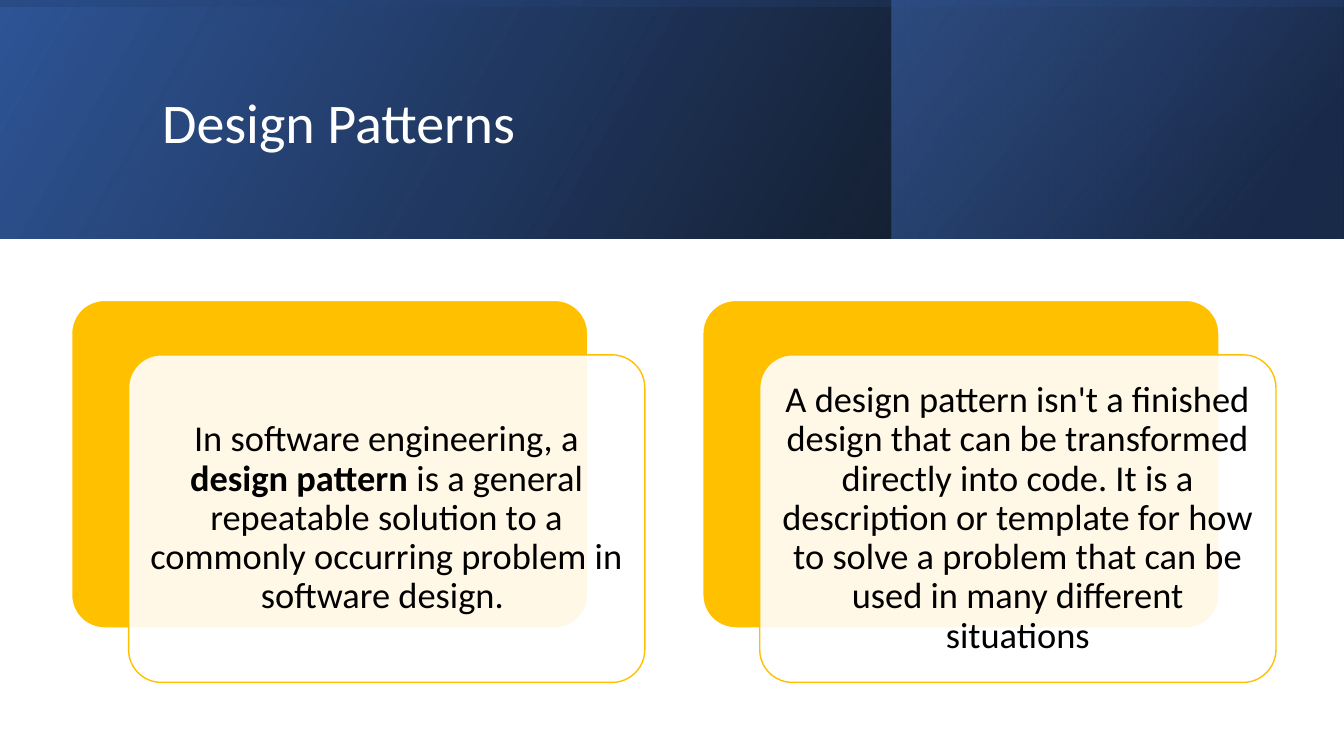
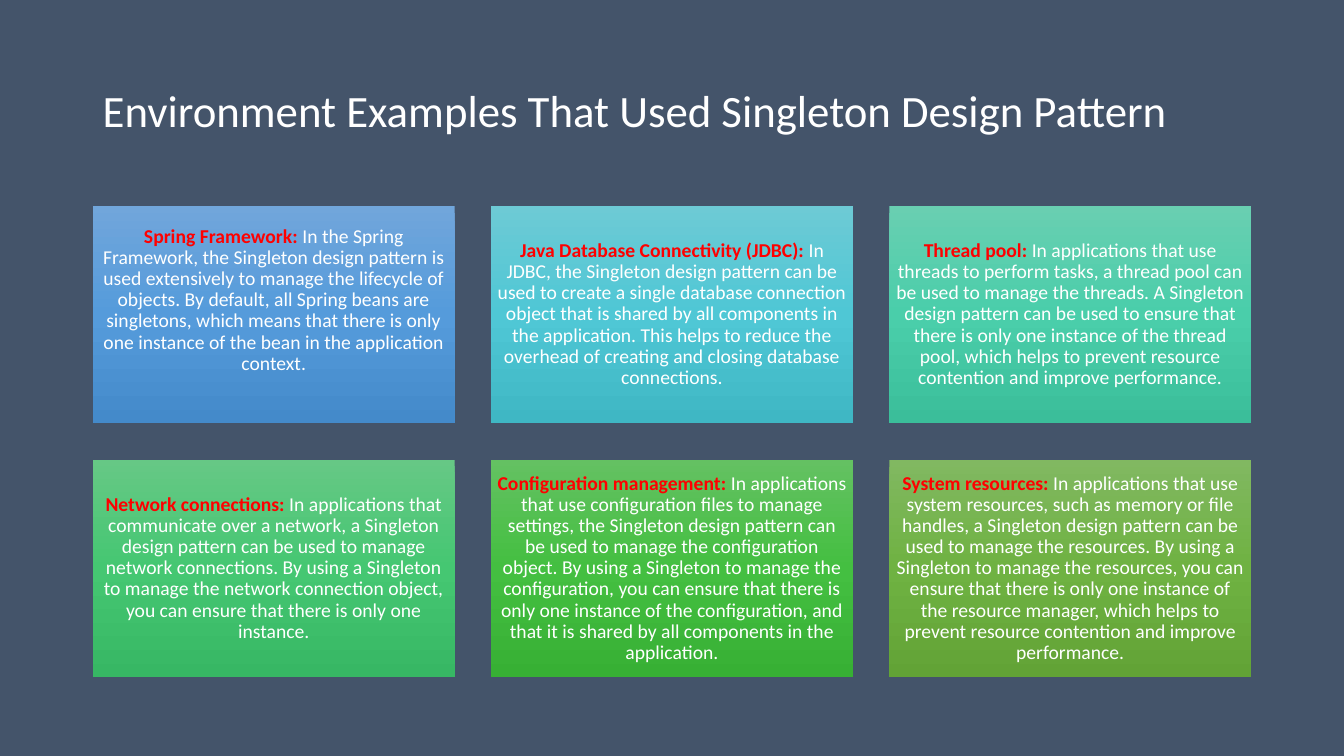
import pptx
import pptx.util
import pptx.dml.color
import pptx.enum.shapes
import pptx.enum.text
import pptx.oxml
import pptx.oxml.ns

Inches, Pt = pptx.util.Inches, pptx.util.Pt
SHAPE = pptx.enum.shapes.MSO_SHAPE
ALIGN = pptx.enum.text.PP_ALIGN
MIDDLE = pptx.enum.text.MSO_ANCHOR.MIDDLE
qn = pptx.oxml.ns.qn

FONT = "Calibri"
WHITE, BLACK, RED = "FFFFFF", "000000", "FF0000"
GOLD, SLATE, NAVY = "FFC000", "44546A", "2F5597"

# Banner layers: box, rotation, gradient stops (position, colour, opacity), angle
BANNER = [
    ((0, 0, 13.33, 2.37), 0, [(0, BLACK, 96), (100, NAVY, 100)], 330),
    ((8.84, 0, 4.48, 2.37), 0, [(19, "203864", 68), (100, "4472C4", 48)], 320),
    ((5.48, -5.48, 2.37, 13.33), 270, [(23, NAVY, 16), (99, BLACK, 45)], 350),
]

# Text runs: (words, bold)
CARDS = [
    [("In software engineering, a ", False), ("design pattern", True),
     (" is a general repeatable solution to a commonly occurring problem in "
      "software design. ", False)],
    [("A design pattern isn't a finished design that can be transformed directly "
      "into code. It is a description or template for how to solve a problem that "
      "can be used in many different situations", False)],
]

# Tiles: heading, body, gradient from top to bottom
TILES = [
    ("Spring Framework:",
     "In the Spring Framework, the Singleton design pattern is used extensively to "
     "manage the lifecycle of objects. By default, all Spring beans are singletons, "
     "which means that there is only one instance of the bean in the application "
     "context.", ("71A6DB", "559BDB", "448ACA")),
    ("Java Database Connectivity (JDBC):",
     "In JDBC, the Singleton design pattern can be used to create a single database "
     "connection object that is shared by all components in the application. This "
     "helps to reduce the overhead of creating and closing database connections.",
     ("6DCAD5", "4FC7D5", "3FB7C4")),
    ("Thread pool:",
     "In applications that use threads to perform tasks, a thread pool can be used "
     "to manage the threads. A Singleton design pattern can be used to ensure that "
     "there is only one instance of the thread pool, which helps to prevent resource "
     "contention and improve performance.", ("69CFB1", "4ACEAA", "3BBE9A")),
    ("Network connections:",
     "In applications that communicate over a network, a Singleton design pattern "
     "can be used to manage network connections. By using a Singleton to manage the "
     "network connection object, you can ensure that there is only one instance.",
     ("66C885", "45C772", "37B764")),
    ("Configuration management:",
     "In applications that use configuration files to manage settings, the Singleton "
     "design pattern can be used to manage the configuration object. By using a "
     "Singleton to manage the configuration, you can ensure that there is only one "
     "instance of the configuration, and that it is shared by all components in the "
     "application.", ("64C162", "44BF41", "37B034")),
    ("System resources:",
     "In applications that use system resources, such as memory or file handles, a "
     "Singleton design pattern can be used to manage the resources. By using a "
     "Singleton to manage the resources, you can ensure that there is only one "
     "instance of the resource manager, which helps to prevent resource contention "
     "and improve performance.", ("81B861", "6FB242", "62A336")),
]


def rgb(code):
    return pptx.dml.color.RGBColor.from_string(code)


def add_slide(deck, back):
    slide = deck.slides.add_slide(deck.slide_layouts[6])
    slide.background.fill.solid()
    slide.background.fill.fore_color.rgb = rgb(back)
    return slide


def add_box(slide, kind, box, fill=None, line=None):
    shape = slide.shapes.add_shape(kind, *map(Inches, box))
    shape.shadow.inherit = False
    if fill:
        shape.fill.solid()
        shape.fill.fore_color.rgb = rgb(fill)
    if line:
        shape.line.color.rgb = rgb(line)
        shape.line.width = Pt(1)
    else:
        shape.line.fill.background()
    return shape


def set_alpha(color, opacity):
    alpha = pptx.oxml.ns.qn("a:alpha")
    color.makeelement(alpha, {})
    node = color.makeelement(alpha, {"val": str(opacity * 1000)})
    color.append(node)


def set_grad(shape, stops, angle):
    """Fill with stops of (position, colour, opacity); angle runs clockwise."""
    shape.fill.gradient()
    shape.fill.gradient_angle = (360 - angle) % 360
    group = shape._element.spPr.find(".//" + qn("a:gsLst"))
    for old in list(group):
        group.remove(old)
    for place, code, opacity in stops:
        stop = group.makeelement(qn("a:gs"), {"pos": str(place * 1000)})
        color = stop.makeelement(qn("a:srgbClr"), {"val": code})
        stop.append(color)
        group.append(stop)
        if opacity < 100:
            set_alpha(color, opacity)


def set_text(shape, runs, size, inset=None, align=ALIGN.CENTER):
    """Write runs of (words, bold, colour) as one paragraph, centred in height."""
    frame = shape.text_frame
    frame.word_wrap = True
    frame.vertical_anchor = MIDDLE
    if inset is not None:
        frame.margin_left = frame.margin_right = Inches(inset)
        frame.margin_top = frame.margin_bottom = Inches(inset)
    para = frame.paragraphs[0]
    para.alignment = align
    para.line_spacing = 0.9
    para.font.size = Pt(size)
    para.font.name = FONT
    for words, bold, code in runs:
        run = para.add_run()
        run.text = words
        run.font.bold = bold
        run.font.color.rgb = rgb(code)


def add_title(slide, words, box, size):
    title = slide.shapes.add_textbox(*map(Inches, box))
    set_text(title, [(words, False, WHITE)], size, align=ALIGN.LEFT)


def build_cards(deck):
    slide = add_slide(deck, WHITE)
    for box, turn, stops, angle in BANNER:
        layer = add_box(slide, SHAPE.RECTANGLE, box)
        set_grad(layer, stops, angle)
        layer.rotation = turn
        layer._element.spPr.find(qn("a:xfrm")).set("flipH", "1")
    add_title(slide, "Design Patterns", (1.51, 0.38, 10.63, 1.72), 40)

    left, top, wide, high = 0.71, 2.98, 5.12, 3.25
    pitch, shift_x, shift_y = 6.26, 0.565, 0.54
    for col, runs in enumerate(CARDS):
        x = left + col * pitch
        back = add_box(slide, SHAPE.ROUNDED_RECTANGLE, (x, top, wide, high), GOLD, WHITE)
        pane = add_box(slide, SHAPE.ROUNDED_RECTANGLE,
                       (x + shift_x, top + shift_y, wide, high), WHITE, GOLD)
        for shape in (back, pane):
            shape.adjustments[0] = 0.1
        set_alpha(pane._element.spPr.find(qn("a:solidFill"))[0], 90)
        set_text(pane, [(words, bold, BLACK) for words, bold in runs], 26, 0.11)


def build_tiles(deck):
    slide = add_slide(deck, SLATE)
    add_title(slide, "Environment Examples That Used Singleton Design Pattern",
              (0.92, 0.4, 11.5, 1.45), 32)
    left, top, wide, high, gap = 0.92, 2.04, 3.59, 2.16, 0.36
    for place, (head, body, colors) in enumerate(TILES):
        row, col = divmod(place, 3)
        box = (left + col * (wide + gap), top + row * (high + gap), wide, high)
        tile = add_box(slide, SHAPE.RECTANGLE, box)
        set_grad(tile, [(50 * i, code, 100) for i, code in enumerate(colors)], 90)
        set_text(tile, [(head, True, RED), (" " + body, False, WHITE)], 14, 0.06)
        if place == 0:
            tile.text_frame.margin_bottom = Inches(0.34)


def main():
    deck = pptx.Presentation()
    deck.slide_width, deck.slide_height = Inches(13.33), Inches(7.5)
    build_cards(deck)
    build_tiles(deck)
    deck.save("out.pptx")


if __name__ == "__main__":
    main()
